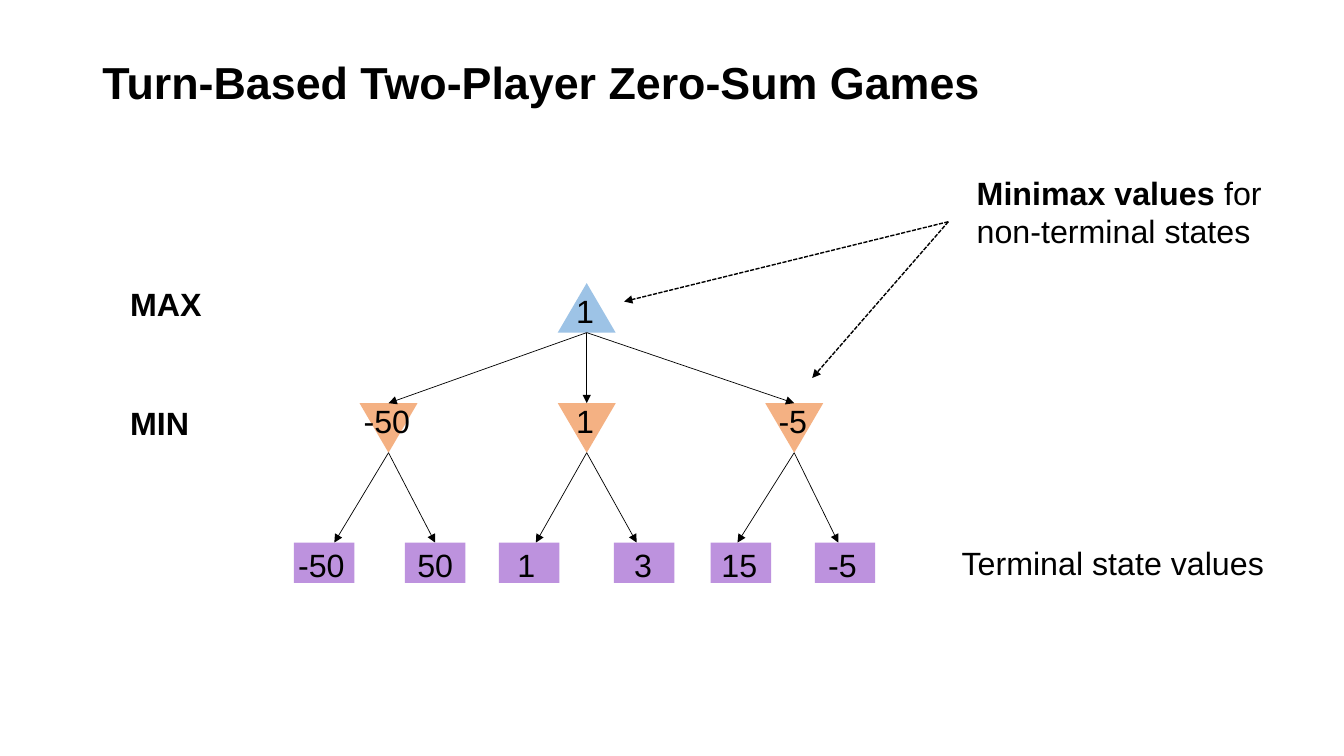
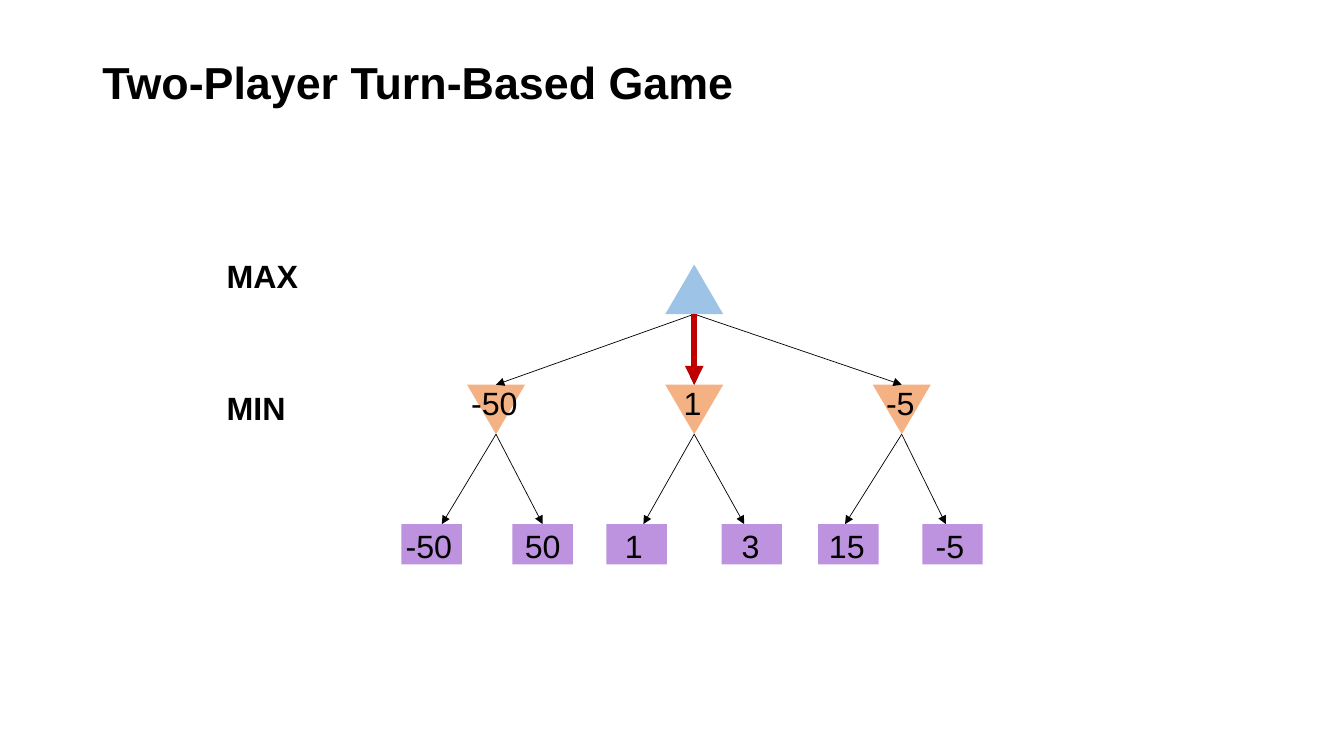
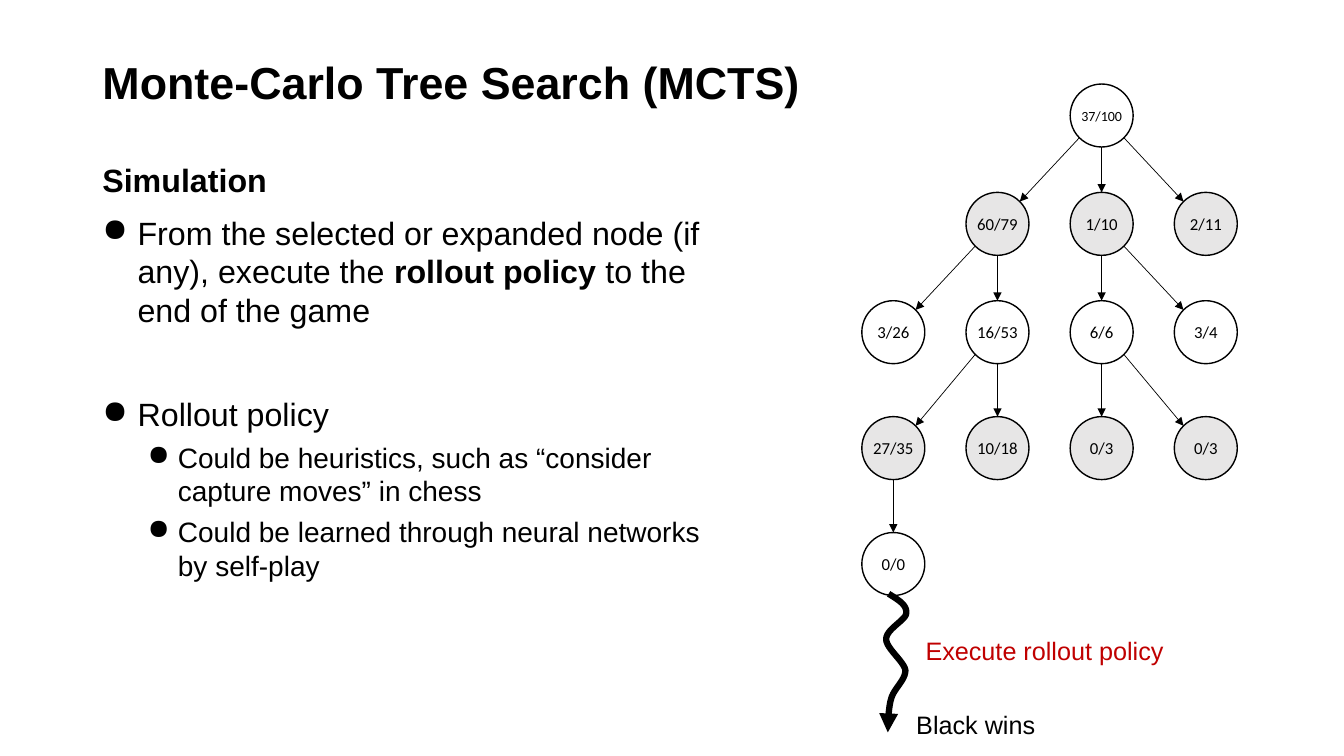
"""Build three slides on game trees and Monte-Carlo tree search."""
import math

import pptx
import pptx.dml.color
import pptx.enum.dml
import pptx.enum.shapes
import pptx.enum.text
import pptx.oxml
import pptx.oxml.ns
import pptx.util

COLORS = {"text": "000000", "max": "9DC3E6", "min": "F4B183", "leaf": "BD92DE",
          "accent": "C00000", "grey": "E7E6E6", "white": "FFFFFF"}
SLIDE_W, SLIDE_H = pptx.util.Inches(13.333), pptx.util.Inches(7.5)
COLS = 16
SHAPES = pptx.enum.shapes.MSO_SHAPE
ANCHOR = pptx.enum.text.MSO_ANCHOR
ALIGN = pptx.enum.text.PP_ALIGN

TRI_W, TRI_H = 0.69, 0.59
ROOT_X, ROOT_Y, MIN_Y = 6.64, 3.37, 4.8
LEAF_W, LEAF_H, LEAF_Y = 0.72, 0.48, 6.46
APEX = TRI_W / 2
MIN_NODES = [(4.28, "-50"), (ROOT_X, "1"), (9.11, "-5")]
LEAVES = [(3.5, "-50"), (4.82, "50"), (5.94, "1"), (7.31, "3"), (8.46, "15"), (9.7, "-5")]
LABEL_INDENT = {"-50": -0.07, "50": 0.03, "15": 0.01, "-5": 0.04, "1": 0.1, "3": 0.12}

NODE_D, NODE_X, NODE_STEP = 0.75, 10.26, 1.24
NODE_ROWS = [1, 2.29, 3.58, 4.96, 6.34]
NODES = {(2, 0): "37/100",
         (1, 1): "60/79", (2, 1): "1/10", (3, 1): "2/11",
         (0, 2): "3/26", (1, 2): "16/53", (2, 2): "6/6", (3, 2): "3/4",
         (0, 3): "27/35", (1, 3): "10/18", (2, 3): "0/3", (3, 3): "0/3",
         (0, 4): "0/0"}
CHILD_COLS = {(2, 0): (1, 2, 3), (1, 1): (0, 1), (2, 1): (2, 3),
              (1, 2): (0, 1), (2, 2): (2, 3), (0, 3): (0,)}
ROLLOUT_START = (10.58, 7.07)
ROLLOUT_CURVES = [
    ((10.69, 7.14), (10.8, 7.2), (10.79, 7.3)),
    ((10.79, 7.38), (10.55, 7.49), (10.55, 7.61)),
    ((10.55, 7.72), (10.76, 7.87), (10.78, 7.98)),
    ((10.78, 8.1), (10.64, 8.2), (10.61, 8.32)),
    ((10.57, 8.44), (10.57, 8.72), (10.57, 8.72)),
]
BODY = [
    (0, [("Simulation", True)], 0),
    (1, [("From the selected or expanded node (if any), execute the ", False),
         ("rollout policy ", True), ("to the end of the game", False)], 10),
    (1, [("Rollout policy", False)], 47),
    (2, [("Could be heuristics, such as “consider capture moves” in chess", False)], 5),
    (2, [("Could be learned through neural networks by self-play", False)], 5),
]
INDENTS = {1: (0.35, -0.35), 2: (0.75, -0.3)}


def grid(*lengths):
    return [pptx.util.Emu(round(v * SLIDE_W / COLS)) for v in lengths]


def rgb(name):
    return pptx.dml.color.RGBColor.from_string(COLORS[name])


def append_xml(parent, tag, attributes=""):
    parent.append(pptx.oxml.parse_xml(
        f'<a:{tag} {pptx.oxml.ns.nsdecls("a")} {attributes}/>'))


def format_run(r, size, bold=False, color="text", font="Arial"):
    r.font.name = font
    r.font.size = pptx.util.Pt(size)
    r.font.bold = bold
    r.font.color.rgb = rgb(color)


def add_runs(p, runs, size, color="text"):
    for text, bold in runs:
        r = p.add_run()
        r.text = text
        format_run(r, size, bold, color)


def add_text(s, box, runs, size=23, color="text"):
    tf = s.shapes.add_textbox(*grid(*box)).text_frame
    tf.word_wrap = True
    add_runs(tf.paragraphs[0], runs, size, color)
    return tf


def add_slide(prs, title):
    s = prs.slides.add_slide(prs.slide_layouts[5])
    sp = s.shapes.title
    sp.left, sp.top, sp.width, sp.height = grid(1.1, 0.48, 13.8, 1.07)
    tf = sp.text_frame
    tf.text = title
    tf.auto_size = pptx.enum.text.MSO_AUTO_SIZE.NONE
    tf.vertical_anchor = ANCHOR.MIDDLE
    p = tf.paragraphs[0]
    p.alignment = ALIGN.LEFT
    p.line_spacing = 0.9
    format_run(p.runs[0], 32, True)
    return s


def add_shape(s, kind, box, fill, rotation=0):
    sp = s.shapes.add_shape(kind, *grid(*box))
    sp.shadow.inherit = False
    sp.fill.solid()
    sp.fill.fore_color.rgb = rgb(fill)
    sp.line.fill.background()
    sp.rotation = rotation
    return sp


def format_arrow(sp, width, color="text", dash=None):
    sp.line.color.rgb = rgb(color)
    sp.line.width = pptx.util.Pt(width)
    if dash:
        sp.line.dash_style = dash
    append_xml(sp._element.spPr.find(pptx.oxml.ns.qn("a:ln")), "tailEnd", 'type="triangle"')


def add_arrow(s, start, end, width=0.5, color="text", dash=None):
    straight = pptx.enum.shapes.MSO_CONNECTOR.STRAIGHT
    cx = s.shapes.add_connector(straight, *grid(*start, *end))
    format_arrow(cx, width, color, dash)
    append_xml(cx._element.spPr, "effectLst")


def add_value(s, x, y, text):
    add_text(s, (x + LABEL_INDENT[text], y, 1.0, 0.7), [(text, False)])


def add_game_tree(s, dx=0, dy=0, root=None):
    root_x, root_y, min_y, leaf_y = ROOT_X + dx, ROOT_Y + dy, MIN_Y + dy, LEAF_Y + dy
    add_shape(s, SHAPES.ISOSCELES_TRIANGLE, (root_x, root_y, TRI_W, TRI_H), "max")
    for i, (node_x, value) in enumerate(MIN_NODES):
        x = node_x + dx
        add_shape(s, SHAPES.ISOSCELES_TRIANGLE, (x, min_y, TRI_W, TRI_H), "min", 180)
        add_arrow(s, (root_x + APEX, root_y + TRI_H), (x + APEX, min_y))
        for leaf in (2 * i, 2 * i + 1):
            add_arrow(s, (x + APEX, min_y + TRI_H), (3.98 + 1.2 * leaf + dx, leaf_y))
        add_value(s, x, min_y - 0.08, value)
    for x, value in LEAVES:
        add_shape(s, SHAPES.RECTANGLE, (x + dx, leaf_y, LEAF_W, LEAF_H), "leaf")
        add_value(s, x + dx, leaf_y - 0.03, value)
    if root:
        add_value(s, root_x, root_y + 0.04, root)


def add_player_labels(s, x, max_y, min_y):
    for text, y in (("MAX", max_y), ("MIN", min_y)):
        add_text(s, (x, y, 1.57, 0.88), [(text, True)])


def node_center(col, row):
    return NODE_X + NODE_STEP * col + NODE_D / 2, NODE_ROWS[row] + NODE_D / 2


def add_search_tree(s):
    for (col, row), text in NODES.items():
        x, y = node_center(col, row)
        sp = add_shape(s, SHAPES.OVAL, (x - NODE_D / 2, y - NODE_D / 2, NODE_D, NODE_D),
                       "grey" if row % 2 else "white")
        sp.line.color.rgb = rgb("text")
        sp.line.width = pptx.util.Pt(1)
        tf = sp.text_frame
        tf.margin_left = tf.margin_right = tf.margin_top = tf.margin_bottom = 0
        tf.vertical_anchor = ANCHOR.MIDDLE
        tf.text = text
        p = tf.paragraphs[0]
        p.alignment = ALIGN.CENTER
        format_run(p.runs[0], 12 if row else 10, font="Calibri")
    for (col, row), children in CHILD_COLS.items():
        x, y = node_center(col, row)
        for child in children:
            cx, cy = node_center(child, row + 1)
            angle = math.radians(45 * (child - col))
            ox, oy = NODE_D / 2 * math.sin(angle), NODE_D / 2 * math.cos(angle)
            add_arrow(s, (x + ox, y + oy), (cx - ox, cy - oy))


def curve_points(start, curves, steps=12):
    points = [start]
    for c1, c2, end in curves:
        start = points[-1]
        for i in range(1, steps + 1):
            t = i / steps
            u = 1 - t
            points.append(tuple(u**3 * a + 3 * u * u * t * b + 3 * u * t * t * c + t**3 * d
                                for a, b, c, d in zip(start, c1, c2, end)))
    return points


def add_rollout(s):
    points = [grid(*pt) for pt in curve_points(ROLLOUT_START, ROLLOUT_CURVES)]
    fb = s.shapes.build_freeform(*points[0])
    fb.add_line_segments(points[1:], close=False)
    sp = fb.convert_to_shape()
    sp.shadow.inherit = False
    sp.fill.background()
    format_arrow(sp, 4.5)


def add_bullet(p, level):
    margin, indent = INDENTS[level]
    pPr = p._p.get_or_add_pPr()
    pPr.set("marL", str(pptx.util.Inches(margin)))
    pPr.set("indent", str(pptx.util.Inches(indent)))
    append_xml(pPr, "buChar", 'char="●"')


def add_body(s, box, paragraphs):
    (_, runs, _), *rest = paragraphs
    tf = add_text(s, box, runs)
    for level, runs, before in rest:
        p = tf.add_paragraph()
        p.level = level - 1
        add_bullet(p, level)
        p.space_before = pptx.util.Pt(before)
        add_runs(p, runs, 20 if level == 2 else 23)


def add_minimax_slide(prs):
    s = add_slide(prs, "Turn-Based Two-Player Zero-Sum Games")
    add_player_labels(s, 1.43, 3.32, 4.74)
    add_game_tree(s, root="1")
    add_text(s, (11.33, 6.41, 3.91, 0.88), [("Terminal state values", False)])
    for target in ((7.43, 3.59), (9.67, 4.5)):
        add_arrow(s, (11.29, 2.64), target, 1, dash=pptx.enum.dml.MSO_LINE.SQUARE_DOT)
    add_text(s, (11.51, 2, 3.91, 1.32),
             [("Minimax values ", True), ("for non-terminal states", False)])


def add_move_slide(prs):
    s = add_slide(prs, "Two-Player Turn-Based Game")
    dx, dy = 1.28, -0.22
    add_game_tree(s, dx, dy)
    add_player_labels(s, 2.58, 2.99, 4.56)
    x = ROOT_X + APEX + dx
    add_arrow(s, (x, ROOT_Y + TRI_H + dy), (x, MIN_Y + dy), 4.5, "accent")


def add_mcts_slide(prs):
    s = add_slide(prs, "Monte-Carlo Tree Search (MCTS)")
    add_body(s, (1.1, 1.85, 7.78, 6.25), BODY)
    add_search_tree(s)
    add_rollout(s)
    add_text(s, (10.79, 8.39, 1.82, 0.59), [("Black wins", False)], 18)
    add_text(s, (10.9, 7.51, 3.83, 0.48), [("Execute rollout policy", False)], 18, "accent")


def main():
    prs = pptx.Presentation()
    prs.slide_width, prs.slide_height = SLIDE_W, SLIDE_H
    add_minimax_slide(prs)
    add_move_slide(prs)
    add_mcts_slide(prs)
    prs.save("out.pptx")


if __name__ == "__main__":
    main()
